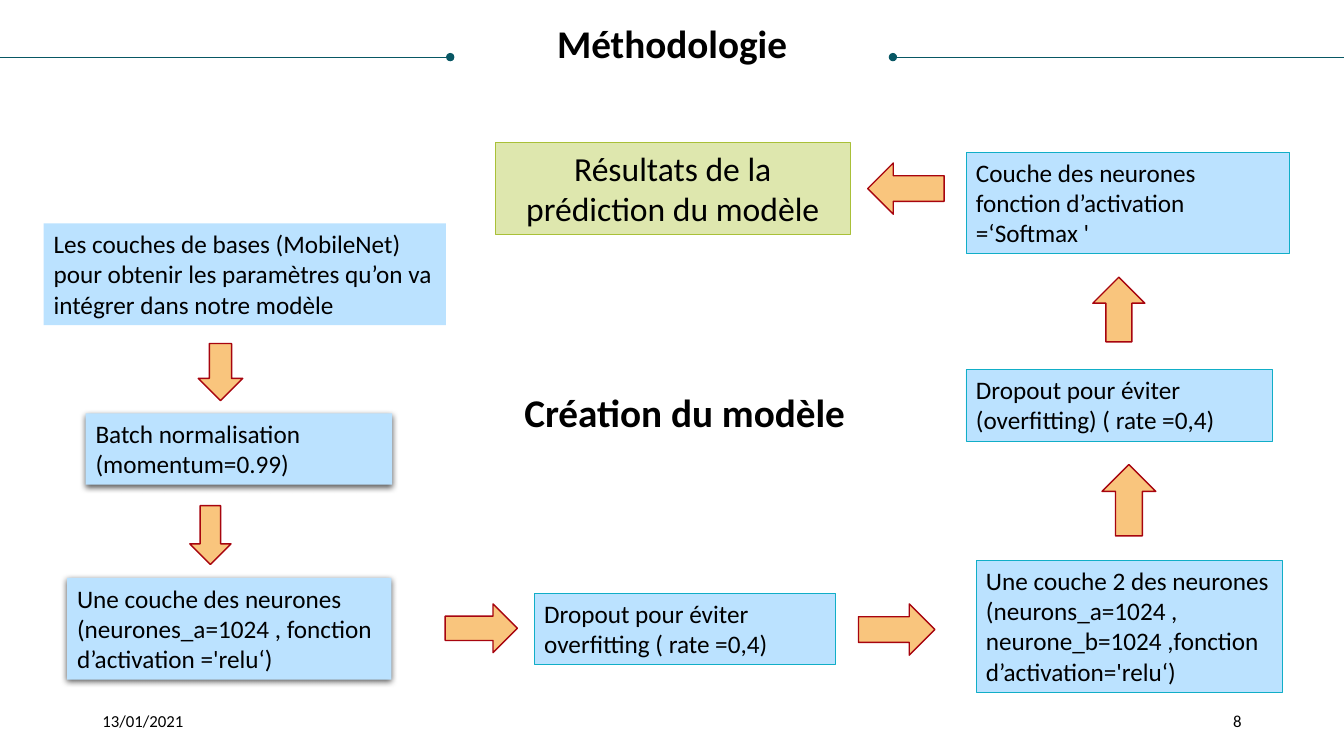
"""Build the methodology slide: a flow of model layers around its title."""
from typing import NamedTuple, Optional

from lxml import etree
from pptx import Presentation
from pptx.dml.color import RGBColor
from pptx.enum.shapes import MSO_CONNECTOR, MSO_SHAPE as SHAPE
from pptx.enum.text import MSO_ANCHOR as ANCHOR, PP_ALIGN as ALIGN
from pptx.oxml.ns import qn
from pptx.util import Inches, Pt

BLACK = RGBColor(0x00, 0x00, 0x00)
TEAL = RGBColor(0x08, 0x57, 0x64)
SKY = RGBColor(0xBB, 0xE2, 0xFF)
CYAN = RGBColor(0x11, 0xAE, 0xC7)
LIME = RGBColor(0xDE, 0xE7, 0xAE)
OLIVE = RGBColor(0xA9, 0xC0, 0x38)
ORANGE = RGBColor(0xF9, 0xC5, 0x7D)
RED = RGBColor(0xA7, 0x04, 0x0E)

WIDTH, HEIGHT = Inches(13.33), Inches(7.5)
COLS, ROWS = 16, 9


class Area(NamedTuple):
    col: float
    row: float
    cols: float
    rows: float


class Label(NamedTuple):
    area: Area
    text: str
    size: int
    align: ALIGN
    bold: bool = False
    anchor: ANCHOR = ANCHOR.TOP


class Step(NamedTuple):
    area: Area
    text: str
    line: Optional[RGBColor] = CYAN
    shadow: bool = False
    fill: RGBColor = SKY
    size: int = 18
    align: ALIGN = ALIGN.LEFT


class Arrow(NamedTuple):
    area: Area
    kind: SHAPE


class Rule(NamedTuple):
    dot_col: float
    edge_col: float


TITLE = Label(Area(0.3, 0.29, 15.4, 1.02), "Méthodologie", 28, ALIGN.CENTER, True)
LABELS = [
    Label(Area(5.16, 4.56, 5.98, 0.68), "Création du modèle", 28, ALIGN.CENTER, True),
    Label(Area(1.1, 8.34, 3.6, 0.48), "13/01/2021", 12, ALIGN.LEFT, anchor=ANCHOR.MIDDLE),
    Label(Area(11.3, 8.34, 3.6, 0.48), "8", 12, ALIGN.RIGHT, anchor=ANCHOR.MIDDLE),
]
RULE_ROW = 0.68
RULES = [Rule(10.63, COLS), Rule(5.36, 0)]
STEPS = [
    Step(Area(0.52, 2.66, 4.79, 1.21),
         "Les couches de bases (MobileNet) pour obtenir les paramètres "
         "qu’on va intégrer dans notre modèle", None),
    Step(Area(1.02, 4.92, 3.65, 0.85), "Batch normalisation (momentum=0.99)", None, True),
    Step(Area(0.8, 6.88, 3.86, 1.21),
         "Une couche des neurones (neurones_a=1024 , fonction d’activation ='relu‘)",
         None, True),
    Step(Area(6.36, 7.06, 3.59, 0.85), "Dropout pour éviter overfitting ( rate =0,4)"),
    Step(Area(11.62, 6.67, 3.65, 1.57),
         "Une couche 2 des neurones (neurons_a=1024 , neurone_b=1024 ,fonction "
         "d’activation='relu‘)"),
    Step(Area(11.5, 4.4, 3.65, 0.85), "Dropout pour éviter (overfitting) ( rate =0,4)"),
    Step(Area(11.5, 1.81, 3.85, 1.21),
         "Couche des neurones fonction d’activation =‘Softmax '"),
    Step(Area(5.9, 1.7, 4.22, 1.09), "Résultats de la prédiction du modèle",
         OLIVE, fill=LIME, size=24, align=ALIGN.CENTER),
]
ARROWS = [
    Arrow(Area(2.36, 4.09, 0.53, 0.68), SHAPE.DOWN_ARROW),
    Arrow(Area(2.26, 6.02, 0.49, 0.7), SHAPE.DOWN_ARROW),
    Arrow(Area(5.3, 7.19, 0.86, 0.58), SHAPE.RIGHT_ARROW),
    Arrow(Area(10.22, 7.19, 0.91, 0.61), SHAPE.RIGHT_ARROW),
    Arrow(Area(13.12, 5.53, 0.64, 0.85), SHAPE.UP_ARROW),
    Arrow(Area(13.01, 3.3, 0.62, 0.77), SHAPE.UP_ARROW),
    Arrow(Area(10.33, 1.94, 0.91, 0.61), SHAPE.LEFT_ARROW),
]


def x(col: float) -> int:
    return round(WIDTH * col / COLS)


def y(row: float) -> int:
    return round(HEIGHT * row / ROWS)


def place(area: Area) -> tuple:
    return x(area.col), y(area.row), x(area.cols), y(area.rows)


def write(sp, text: str, size: int, align: ALIGN, bold: bool, anchor: ANCHOR) -> None:
    tf = sp.text_frame
    tf.text = text
    tf.word_wrap = True
    tf.vertical_anchor = anchor
    p = tf.paragraphs[0]
    p.alignment = align
    font = p.runs[0].font
    font.name, font.size, font.bold = "Calibri", Pt(size), bold
    font.color.rgb = BLACK


def add_label(s, label: Label):
    sp = s.shapes.add_textbox(*place(label.area))
    write(sp, label.text, label.size, label.align, label.bold, label.anchor)
    return sp


def add_title(s, title: Label) -> None:
    tf = add_label(s, title).text_frame
    tf.margin_left = tf.margin_right = tf.margin_top = tf.margin_bottom = 0
    tf.paragraphs[0].line_spacing = 0.9


def add_rule(s, rule: Rule) -> None:
    cx = s.shapes.add_connector(MSO_CONNECTOR.STRAIGHT, x(rule.dot_col), y(RULE_ROW),
                                x(rule.edge_col), y(RULE_ROW))
    cx.line.color.rgb, cx.line.width = TEAL, Pt(0.5)
    etree.SubElement(cx.line._get_or_add_ln(), qn("a:headEnd"), type="oval")
    etree.SubElement(cx._element.spPr, qn("a:effectLst"))


def add_filled(s, kind: SHAPE, area: Area, fill: RGBColor,
               line: Optional[RGBColor], width: float):
    sp = s.shapes.add_shape(kind, *place(area))
    sp.shadow.inherit = False
    sp.fill.solid()
    sp.fill.fore_color.rgb = fill
    if line is None:
        sp.line.fill.background()
    else:
        sp.line.color.rgb, sp.line.width = line, Pt(width)
    return sp


def add_shadow(sp) -> None:
    effects = sp._element.spPr.find(qn("a:effectLst"))
    outer = etree.SubElement(effects, qn("a:outerShdw"), blurRad=str(Pt(4.5)),
                             dist=str(Pt(1.5)), dir="5400000", algn="ctr",
                             rotWithShape="0")
    color = etree.SubElement(outer, qn("a:srgbClr"), val=str(BLACK))
    etree.SubElement(color, qn("a:alpha"), val="63000")


def add_step(s, step: Step) -> None:
    sp = add_filled(s, SHAPE.RECTANGLE, step.area, step.fill, step.line, 0.5)
    write(sp, step.text, step.size, step.align, False, ANCHOR.TOP)
    if step.shadow:
        add_shadow(sp)


def add_arrow(s, arrow: Arrow) -> None:
    add_filled(s, arrow.kind, arrow.area, ORANGE, RED, 1)


def main() -> None:
    prs = Presentation()
    prs.slide_width, prs.slide_height = WIDTH, HEIGHT
    s = prs.slides.add_slide(prs.slide_layouts[6])
    add_title(s, TITLE)
    for label in LABELS:
        add_label(s, label)
    for rule in RULES:
        add_rule(s, rule)
    for step in STEPS:
        add_step(s, step)
    for arrow in ARROWS:
        add_arrow(s, arrow)
    prs.save("out.pptx")


main()
